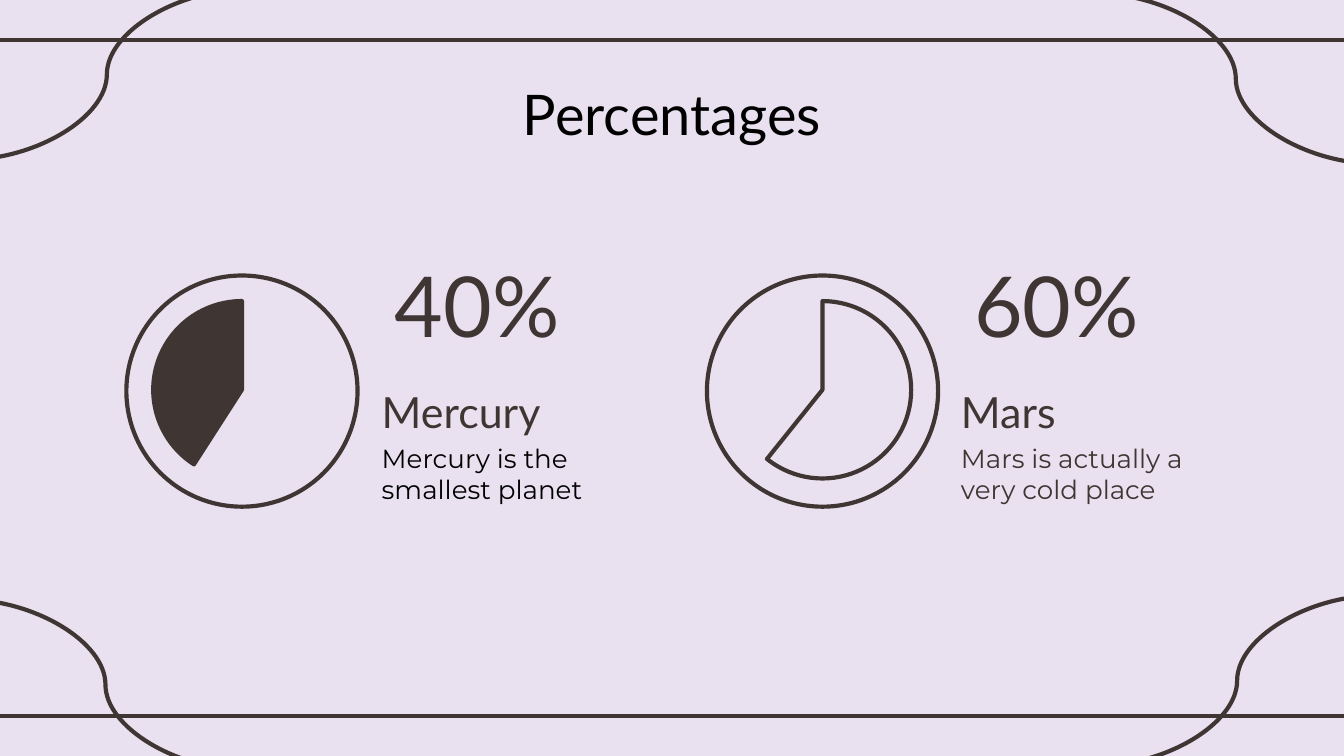
from lxml import etree
from pptx import Presentation
from pptx.dml.color import RGBColor
from pptx.enum import shapes, text
from pptx.oxml.ns import qn
from pptx.util import Inches, Pt

COLORS = {"background": "E9E0F0", "ink": "3F3533", "black": "000000"}
HEADING, BODY = "Lato", "Montserrat"
LINE_WIDTH = 2.25

# Content: each planet has a ring and a text column beside it
TITLE = "Percentages"
PLANETS = [
    {"name": "Mercury", "share": "40%", "note": "Mercury is the smallest planet",
     "note_color": "black", "ring_left": 0.94, "text_left": 2.84,
     "start": 73.65, "filled": True},
    {"name": "Mars", "share": "60%", "note": "Mars is actually a very cold place",
     "note_color": "ink", "ring_left": 5.26, "text_left": 7.15,
     "start": 30.76, "filled": False},
]
TOP_ANGLE = 162  # twelve o'clock, in adjustment units
RING, PIE = 1.72, 1.32
RING_TOP, PIE_TOP = 2.05, 2.24

# Frame: straight rules, then corner curves as start x, start y, direction
RULES = [0.3, 5.33]
CURVES = [(-0.27, 4.46, 1), (8.14, -0.05, 1), (10.26, 4.43, -1), (1.85, -0.08, -1)]
CURVE_WIDTH, CURVE_HEIGHT = 2.11, 1.27


def color(name):
    return RGBColor.from_string(COLORS[name])


def write(box, words, *, size, font, ink="ink", align=text.PP_ALIGN.LEFT,
          anchor=text.MSO_ANCHOR.MIDDLE, inset=0.1):
    frame = box.text_frame
    frame.word_wrap = True
    frame.auto_size = text.MSO_AUTO_SIZE.NONE
    frame.vertical_anchor = anchor
    frame.margin_left = frame.margin_top = Inches(inset)
    frame.margin_right = frame.margin_bottom = Inches(0.1)
    para = frame.paragraphs[0]
    para.alignment = align
    span = para.add_run()
    span.text = words
    span.font.size = Pt(size)
    span.font.name = font
    span.font.color.rgb = color(ink)


def add_line(page, kind, *ends):
    line = page.shapes.add_connector(kind, *map(Inches, ends))
    line.line.color.rgb = color("ink")
    line.line.width = Pt(LINE_WIDTH)
    etree.SubElement(line._element.spPr, qn("a:effectLst"))


def add_round(group, kind, left, top, size, filled=False):
    shape = group.shapes.add_shape(kind, *map(Inches, (left, top, size, size)))
    shape.shadow.inherit = False
    if filled:
        shape.fill.solid()
        shape.fill.fore_color.rgb = color("ink")
    else:
        shape.fill.background()
    shape.line.color.rgb = color("ink")
    shape.line.width = Pt(LINE_WIDTH)
    etree.SubElement(shape._element.spPr.find(qn("a:ln")), qn("a:round"))
    return shape


def add_planet(page, planet):
    # Ring with the pie inside it
    left = planet["ring_left"]
    group = page.shapes.add_group_shape()
    add_round(group, shapes.MSO_SHAPE.OVAL, left, RING_TOP, RING)
    pie = add_round(group, shapes.MSO_SHAPE.PIE, left + (RING - PIE) / 2, PIE_TOP,
                    PIE, planet["filled"])
    pie.adjustments[0] = planet["start"]
    pie.adjustments[1] = TOP_ANGLE
    if not planet["filled"]:
        pie._element.spPr.find(qn("a:xfrm")).set("flipH", "1")

    # Share, name and note beside the ring
    rows = [
        (planet["share"], 1.8, 1.58, 0.93, {"size": 45, "font": HEADING}),
        (planet["name"], 2.92, 1.92, 0.38,
         {"size": 23, "font": HEADING, "inset": 0}),
        (planet["note"], 3.32, 1.92, 0.51,
         {"size": 14, "font": BODY, "ink": planet["note_color"], "inset": 0}),
    ]
    for words, top, width, height, style in rows:
        box = page.shapes.add_textbox(
            *map(Inches, (planet["text_left"], top, width, height)))
        write(box, words, **style)


def main():
    deck = Presentation()
    deck.slide_width = Inches(10)
    deck.slide_height = Inches(10 * 9 / 16)
    page = deck.slides.add_slide(deck.slide_layouts[5])
    page.background.fill.solid()
    page.background.fill.fore_color.rgb = color("background")

    # Frame
    for y in RULES:
        add_line(page, shapes.MSO_CONNECTOR.STRAIGHT, -0.08, y, 10.08, y)
    for x, y, direction in CURVES:
        add_line(page, shapes.MSO_CONNECTOR.CURVE, x, y,
                 x + direction * CURVE_WIDTH, y + CURVE_HEIGHT)

    # Title
    title = page.shapes.title
    title.left, title.top, title.width, title.height = map(
        Inches, (0.78, 0.49, 8.44, 0.63))
    write(title, TITLE, size=30, font=HEADING, ink="black",
          align=text.PP_ALIGN.CENTER, anchor=text.MSO_ANCHOR.TOP)

    # Planets
    for planet in PLANETS:
        add_planet(page, planet)

    deck.save("out.pptx")


if __name__ == "__main__":
    main()
